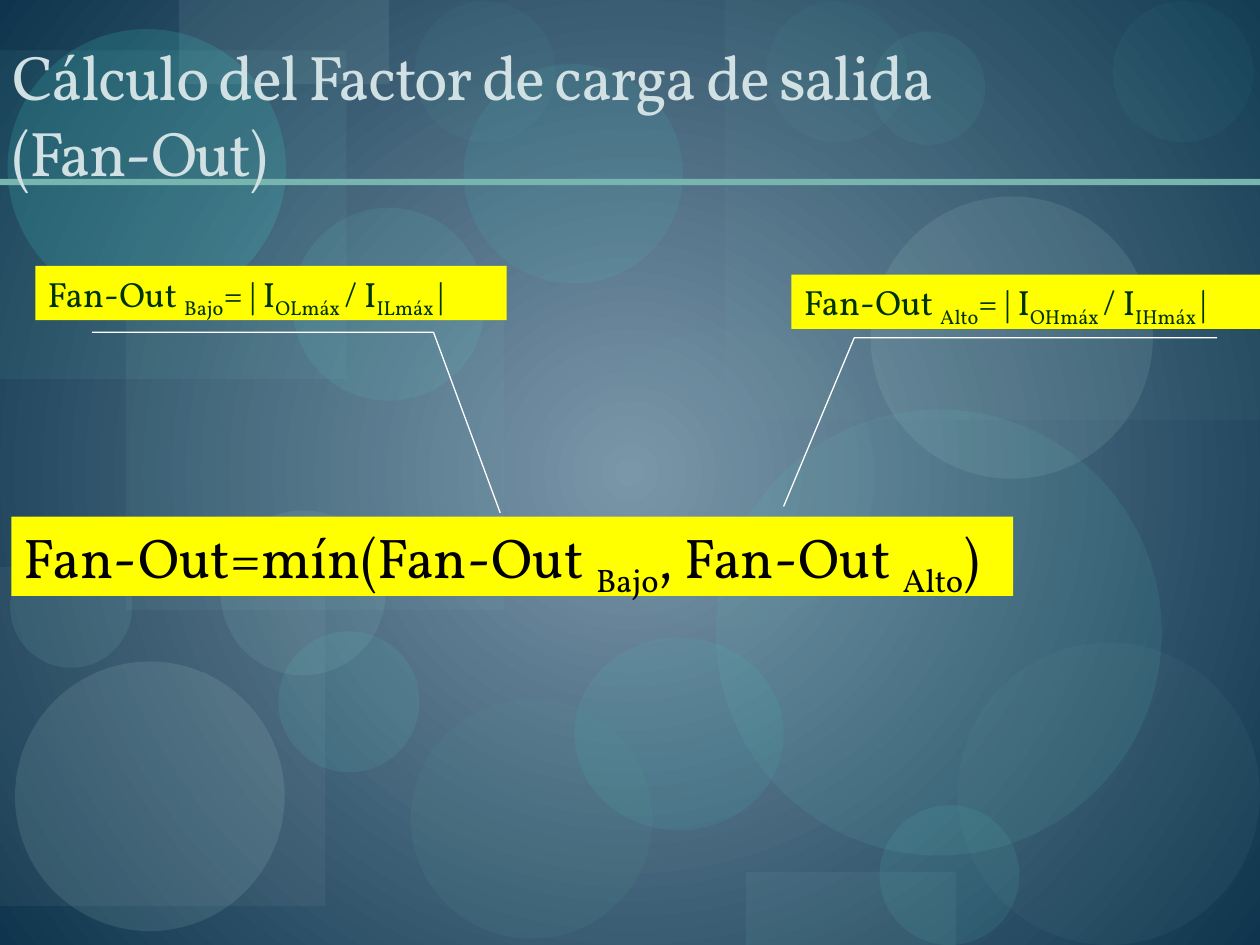
from collections import namedtuple

from lxml import etree
from pptx import Presentation
from pptx import util as u
from pptx.dml import color
from pptx.enum import shapes, text
from pptx.oxml import ns

WIDTH, HEIGHT = 720, 540
FONT = "Vollkorn"
TITLE_SIZE, RESULT_SIZE, FORMULA_SIZE = 36, 32, 20
SUBSCRIPT = -25
COLORS = {
    "center": "7B96AA", "edge": "0E354D", "rule": "79B5B0", "teal": "549791",
    "gray": "B2B7BA", "sage": "70A39E", "aqua": "65E8DC", "mist": "C1E8E4",
    "bright": "44EADC", "sea": "77D6CE", "pale": "BED7D4", "foam": "97DCD6",
    "lagoon": "61CDC4", "yellow": "FFFF00", "black": "000000",
    "green": "003300", "title": "D1E1E3", "white": "FFFFFF",
}

Tint = namedtuple("Tint", "name opacity")
Area = namedtuple("Area", "left top width height")
Bubble = namedtuple("Bubble", "left top diameter")
Branch = namedtuple("Branch", "area level letter leader")

PANELS = {
    Tint("rule", 9): Area(72, 180.7, 216, 167.8),
    Tint("rule", 6): Area(414, 0, WIDTH - 414, 239.8),
    Tint("gray", 8): Area(0, 324, 185.8, 193.7),
    Tint("sea", 7): Area(0, 28.8, 198, 187.9),
    Tint("pale", 10): Area(102.2, 0, 120.2, 48.2),
    Tint("rule", 10): Area(426.2, 498.2, 120.2, HEIGHT - 498.2),
}
OVALS = {
    Tint("teal", 13): Area(234.7, 399.6, 138.2, 136.8),
    Tint("bright", 8): Area(328.3, 364.3, 119.5, 110.2),
}
TOP_ROW = [Bubble(left, 0.7, 80.6) for left in (236.9, 437.8, 635.8)]
BUBBLES = {
    Tint("sage", 8): [Bubble(329, 187.9, 171.4), Bubble(547.2, 367.2, 172.8)],
    Tint("aqua", 9): [Bubble(502.6, 460.1, 79.9), Bubble(159.1, 360.7, 80.6),
                      Bubble(167, 118.8, 110.2)],
    Tint("mist", 11): [Bubble(497.5, 112.3, 161.3)],
    Tint("mist", 12): [Bubble(8.6, 378, 154.1)],
    Tint("bright", 15): [Bubble(4.3, 16.6, 159.1)],
    Tint("bright", 8): [Bubble(265, 36.7, 125.3)],
    Tint("foam", 10): [Bubble(5.8, 311.8, 69.8), Bubble(126, 291.6, 94.3)],
    Tint("lagoon", 10): [Bubble(409, 234, 254.9)],
    Tint("aqua", 6): [Bubble(498.2, 18, 64.8)],
    Tint("aqua", 4): TOP_ROW,
}
TITLE_AREA = Area(0, 21.6, WIDTH, 90)
TITLE_RULE = Area(0, 102.2, WIDTH, 3.6)
RESULT_AREA = Area(6.5, 295.2, 572.4, 45.4)
BRANCHES = [
    Branch(Area(20.2, 151.9, 269.3, 31), "Bajo", "L",
           [(52.6, 189.8), (247.7, 189.8), (285.8, 293)]),
    Branch(Area(452.2, 157, WIDTH - 452.2, 31), "Alto", "H",
           [(695.5, 193), (488.2, 193), (447.8, 289.4)]),
]


def rgb(name):
    return color.RGBColor.from_string(COLORS[name])


def in_points(values):
    return [u.Pt(value) for value in values]


def paint_background(page):
    fill = page.background.fill
    fill.gradient()
    for position, (stop, name) in enumerate(zip(fill.gradient_stops, ("center", "edge"))):
        stop.color.rgb = rgb(name)
        stop.position = position
    linear = page.element.find(".//" + ns.qn("a:lin"))
    radial = etree.Element(ns.qn("a:path"), path="circle")
    etree.SubElement(radial, ns.qn("a:fillToRect"), {side: "50000" for side in "ltrb"})
    linear.getparent().replace(linear, radial)


def add_tinted(page, kind, area, tint):
    shape = page.shapes.add_shape(kind, *in_points(area))
    shape.shadow.inherit = False
    shape.line.fill.background()
    shape.fill.solid()
    shape.fill.fore_color.rgb = rgb(tint.name)
    if tint.opacity < 100:
        solid = shape.element.spPr.find(".//" + ns.qn("a:srgbClr"))
        etree.SubElement(solid, ns.qn("a:alpha"), val=str(tint.opacity * 1000))


def add_decor(page):
    rectangle, oval = shapes.MSO_SHAPE.RECTANGLE, shapes.MSO_SHAPE.OVAL
    for tint, area in PANELS.items():
        add_tinted(page, rectangle, area, tint)
    for tint, area in OVALS.items():
        add_tinted(page, oval, area, tint)
    for tint, bubbles in BUBBLES.items():
        for left, top, diameter in bubbles:
            add_tinted(page, oval, Area(left, top, diameter, diameter), tint)
    add_tinted(page, rectangle, TITLE_RULE, Tint("rule", 100))


def add_span(para, words, size, name, baseline=0, spacing=0):
    span = para.add_run()
    span.text = words
    span.font.size = u.Pt(size)
    span.font.name = FONT
    span.font.color.rgb = rgb(name)
    properties = span._r.get_or_add_rPr()
    if baseline:
        properties.set("baseline", str(baseline * 1000))
    if spacing:
        properties.set("spc", str(spacing * 100))


def add_formula(page, area, parts, size, name, wrap=True):
    box = page.shapes.add_textbox(*in_points(area))
    box.fill.solid()
    box.fill.fore_color.rgb = rgb("yellow")
    frame = box.text_frame
    frame.word_wrap = wrap
    frame.auto_size = text.MSO_AUTO_SIZE.SHAPE_TO_FIT_TEXT
    for index, words in enumerate(parts):
        is_subscript = index % 2 == 1
        add_span(frame.paragraphs[0], words, size, name,
                 baseline=SUBSCRIPT if is_subscript else 0)


def place_title(page, lines):
    title = page.shapes.title
    title.left, title.top, title.width, title.height = in_points(TITLE_AREA)
    frame = title.text_frame
    frame.word_wrap = True
    frame.auto_size = text.MSO_AUTO_SIZE.NONE
    frame.vertical_anchor = text.MSO_ANCHOR.BOTTOM
    para = frame.paragraphs[0]
    para.alignment = text.PP_ALIGN.LEFT
    for index, line in enumerate(lines):
        if index:
            para.add_line_break()
        add_span(para, line, TITLE_SIZE, "title", spacing=-1)
    title.element.getparent().append(title.element)


def add_leader(page, points):
    start, *rest = [in_points(point) for point in points]
    builder = page.shapes.build_freeform(*start)
    builder.add_line_segments(rest, close=False)
    leader = builder.convert_to_shape()
    leader.shadow.inherit = False
    leader.fill.background()
    leader.line.color.rgb = rgb("white")
    leader.line.width = u.Pt(0.75)


def main():
    deck = Presentation()
    deck.slide_width, deck.slide_height = in_points((WIDTH, HEIGHT))
    page = deck.slides.add_slide(deck.slide_layouts.get_by_name("Title Only"))
    paint_background(page)
    add_decor(page)
    low, high = [branch.level for branch in BRANCHES]
    add_formula(page, RESULT_AREA,
                ["Fan-Out=mín(Fan-Out ", low, ", Fan-Out ", high, ")"],
                RESULT_SIZE, "black", wrap=False)
    place_title(page, ["Cálculo del Factor de carga de salida ", "(Fan-Out)"])
    for area, level, letter, _ in BRANCHES:
        add_formula(page, area,
                    ["Fan-Out ", level, "= | I", f"O{letter}máx ",
                     "/ I", f"I{letter}máx ", "|"],
                    FORMULA_SIZE, "green")
    for branch in BRANCHES:
        add_leader(page, branch.leader)
    deck.save("out.pptx")


if __name__ == "__main__":
    main()
